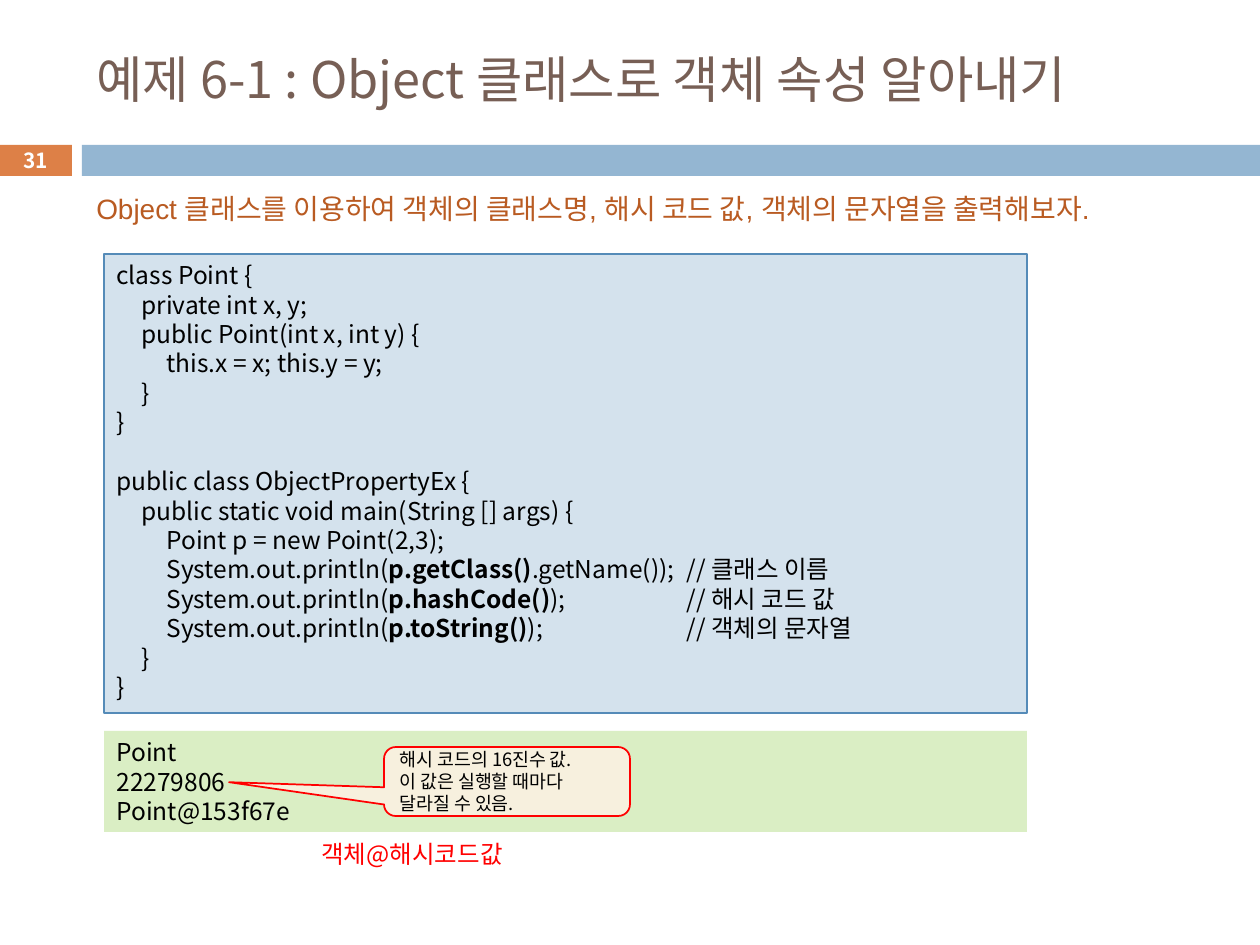
from pptx import Presentation
from pptx.dml.color import RGBColor
from pptx.enum.shapes import MSO_SHAPE
from pptx.enum.text import MSO_ANCHOR, PP_ALIGN
from pptx.oxml.ns import qn
from pptx.util import Emu, Pt
from lxml import etree

RECT, CALLOUT = MSO_SHAPE.RECTANGLE, MSO_SHAPE.ROUNDED_RECTANGULAR_CALLOUT
TOP, MIDDLE = MSO_ANCHOR.TOP, MSO_ANCHOR.MIDDLE
LEFT, CENTER = PP_ALIGN.LEFT, PP_ALIGN.CENTER

BLACK = RGBColor(0x00, 0x00, 0x00)
WHITE = RGBColor(0xFF, 0xFF, 0xFF)
RED = RGBColor(0xFF, 0x00, 0x00)
BROWN = RGBColor(0x77, 0x5F, 0x55)
RUST = RGBColor(0xB9, 0x5B, 0x22)
ORANGE = RGBColor(0xDD, 0x80, 0x47)
BLUE = RGBColor(0x94, 0xB6, 0xD2)
PALE_BLUE = RGBColor(0xD4, 0xE2, 0xED)
EDGE_BLUE = RGBColor(0x55, 0x8B, 0xB8)
GREEN = RGBColor(0xDA, 0xEE, 0xC4)
CREAM = RGBColor(0xF7, 0xF0, 0xDE)

KOREAN = "Noto Sans CJK KR"
PX = 914400 / 126
CODE_TABS = (25, 50, 570)  # two indent levels, then the comment column

prs = Presentation()
prs.slide_width, prs.slide_height = Emu(int(1260 * PX)), Emu(int(945 * PX))
slide = prs.slides.add_slide(prs.slide_layouts[6])


def add_box(left, top, width, height, kind=None, fill=None, line=None, line_width=1):
    """Add a filled shape, or a text box when no kind is given."""
    place = [Emu(round(n * PX)) for n in (left, top, width, height)]
    if kind is None:
        return slide.shapes.add_textbox(*place)
    box = slide.shapes.add_shape(kind, *place)
    box.shadow.inherit = False
    box.fill.solid()
    box.fill.fore_color.rgb = fill
    if line is None:
        box.line.fill.background()
    else:
        box.line.color.rgb = line
        box.line.width = Pt(line_width)
    return box


def write(box, lines, size, color, font=KOREAN, anchor=TOP, align=LEFT,
          wrap=True, bold=False, spacing=None, tabs=()):
    """Write lines of text; ** switches bold on and off within a line."""
    frame = box.text_frame
    frame.word_wrap = wrap
    frame.vertical_anchor = anchor
    for i, text in enumerate(lines):
        para = frame.paragraphs[0] if i == 0 else frame.add_paragraph()
        para.alignment = align
        if spacing:
            para.line_spacing = Pt(spacing)
        if tabs:
            stops = etree.SubElement(para._p.get_or_add_pPr(), qn("a:tabLst"))
            for stop in tabs:
                etree.SubElement(stops, qn("a:tab"), pos=str(round(stop * PX)), algn="l")
        para.font.size = Pt(size)
        for n, part in enumerate(text.split("**")):
            if not part:
                continue
            run = para.add_run()
            run.text = part
            run.font.name = font
            run.font.size = Pt(size)
            run.font.bold = bold or n % 2 == 1
            run.font.color.rgb = color
            etree.SubElement(run._r.get_or_add_rPr(), qn("a:ea"), typeface=KOREAN)


# Header band and slide number
add_box(-1, 145, 73, 31, RECT, ORANGE)
add_box(82, 145, 1178, 31, RECT, BLUE)
number = add_box(-1, 143, 73, 34)
write(number, ["31"], 11.9, WHITE, anchor=MIDDLE, align=CENTER, bold=True)

# Title and task
title = add_box(84, 32, 1124, 93)
write(title, ["예제 6-1 : Object 클래스로 객체 속성 알아내기"], 28.8, BROWN, anchor=MIDDLE)
task = add_box(84, 185, 1124, 47)
write(task, ["Object 클래스를 이용하여 객체의 클래스명, 해시 코드 값, 객체의 문자열을 출력해보자."],
      16, RUST, font="Arial")

# Source code
code = add_box(104, 254, 923, 459, RECT, PALE_BLUE, EDGE_BLUE, 0.75)
write(code, [
    "class Point {",
    "\tprivate int x, y;",
    "\tpublic Point(int x, int y) {",
    "\t\tthis.x = x; this.y = y;",
    "\t}",
    "}",
    "",
    "public class ObjectPropertyEx {",
    "\tpublic static void main(String [] args) {",
    "\t\tPoint p = new Point(2,3);",
    "\t\tSystem.out.println(**p.getClass()**.getName());\t// 클래스 이름",
    "\t\tSystem.out.println(**p.hashCode()**);\t// 해시 코드 값",
    "\t\tSystem.out.println(**p.toString()**);\t// 객체의 문자열",
    "\t}",
    "}",
], 14, BLACK, spacing=16.8, tabs=CODE_TABS)

# Program output
output = add_box(104, 731, 923, 101, RECT, GREEN)
write(output, ["Point", "22279806", "Point@153f67e"], 14, BLACK, spacing=16.8)

# Remarks on the output
hash_note = add_box(384, 747, 246, 69, CALLOUT, CREAM, RED)
for i, value in enumerate((-1.13, 0.01, 0.17)):
    hash_note.adjustments[i] = value
write(hash_note, ["해시 코드의 16진수 값.", "이 값은 실행할 때마다", "달라질 수 있음."],
      10.5, BLACK, anchor=MIDDLE, spacing=12.6)
format_note = add_box(309, 833, 223, 43)
write(format_note, ["객체@해시코드값"], 14, RED, wrap=False)

prs.save("out.pptx")
